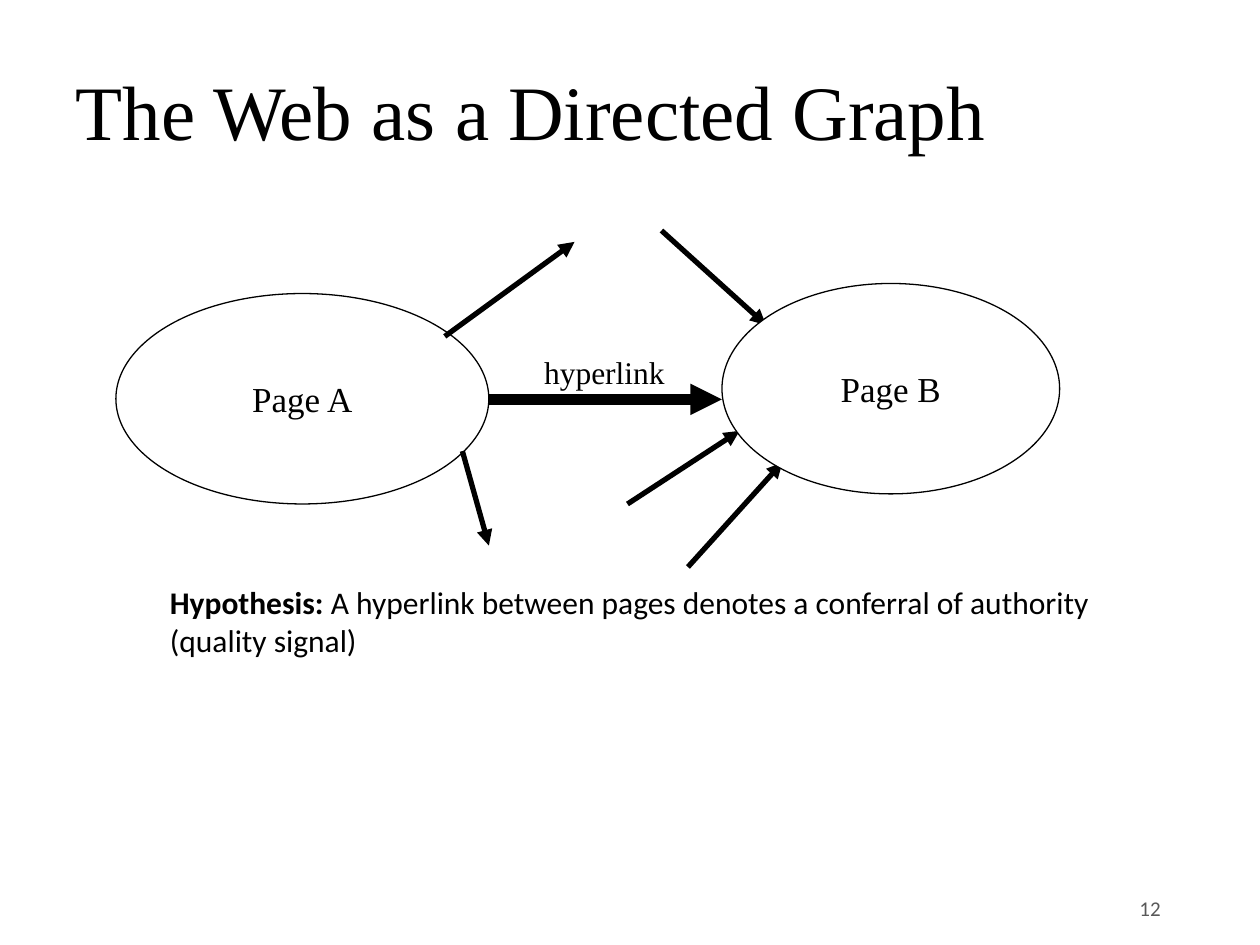
from lxml import etree
from pptx import Presentation
from pptx.dml.color import RGBColor
from pptx.enum import shapes, text
from pptx.oxml.ns import qn
from pptx.util import Inches, Pt

# Content: boxes are left, top, width, height; links are from, to (inches)
TITLE = ("The Web as a Directed Graph", (0.5, 0.3, 9, 1.25))
PAGE_A = ("Page A", (0.92, 2.33, 2.96, 1.67))
PAGE_B = ("Page B", (5.73, 2.25, 2.68, 1.67))
LINK_LABEL = ("hyperlink", (4.22, 2.75, 1.16, 0.4))
MAIN_LINK = ((3.81, 3.17), (5.73, 3.17))
OTHER_LINKS = [
    ((3.67, 3.58), (3.88, 4.33)),
    ((3.53, 2.67), (4.56, 1.92)),
    ((4.98, 4), (5.87, 3.42)),
    ((5.46, 4.5), (6.21, 3.67)),
    ((5.25, 1.83), (6.08, 2.58)),
]
HYPOTHESIS = (
    [("Hypothesis:", True),
     (" A hyperlink between pages denotes a conferral of authority (quality signal)", False)],
    (1.25, 4.58, 8.08, 0.71),
)
PAGE_NUMBER = ("12", (8.06, 7.01, 1.25, 0.4))

SERIF, SANS = "Times New Roman", "Calibri"
INK, PAPER, GREY = (RGBColor.from_string(c) for c in ("000000", "FFFFFF", "595959"))
THEME = {
    "title": {"name": SERIF, "size": Pt(44), "color": INK},
    "node": {"name": SERIF, "size": Pt(20), "color": INK},
    "label": {"name": SERIF, "size": Pt(18), "color": INK},
    "body": {"name": SANS, "size": Pt(18), "color": INK},
    "number": {"name": SANS, "size": Pt(12), "color": GREY},
}
MAIN_WIDTH, LINK_WIDTH, OUTLINE_WIDTH = 6, 3, 0.75


def inches(values):
    return [Inches(value) for value in values]


def write(shape, spans, style, align=text.PP_ALIGN.LEFT, **frame_format):
    frame = shape.text_frame
    for name, value in frame_format.items():
        setattr(frame, name, value)
    para = frame.paragraphs[0]
    para.alignment = align
    for words, bold in spans:
        span = para.add_run()
        span.text = words
        span.font.bold = bold
        for name, value in THEME[style].items():
            if name == "color":
                span.font.color.rgb = value
            else:
                setattr(span.font, name, value)
    return para


def add_node(parent, node):
    words, place = node
    oval = parent.add_shape(shapes.MSO_SHAPE.OVAL, *inches(place))
    oval.shadow.inherit = False
    oval.fill.solid()
    oval.fill.fore_color.rgb = PAPER
    oval.line.color.rgb = INK
    oval.line.width = Pt(OUTLINE_WIDTH)
    write(oval, [(words, False)], "node", text.PP_ALIGN.CENTER,
          word_wrap=False, vertical_anchor=text.MSO_ANCHOR.MIDDLE)


def add_link(parent, link, width):
    start, end = link
    arrow = parent.add_connector(shapes.MSO_CONNECTOR.STRAIGHT, *inches(start + end))
    arrow.line.color.rgb = INK
    arrow.line.width = Pt(width)
    etree.SubElement(arrow.line._get_or_add_ln(), qn("a:tailEnd"), type="triangle")
    etree.SubElement(arrow._element.spPr, qn("a:effectLst"))


def main():
    deck = Presentation()
    deck.slide_width, deck.slide_height = inches((10, 7.5))
    page = deck.slides.add_slide(deck.slide_layouts[5])

    # Title
    words, place = TITLE
    title = page.shapes.title
    title.left, title.top, title.width, title.height = inches(place)
    para = write(title, [(words, False)], "title",
                 vertical_anchor=text.MSO_ANCHOR.MIDDLE, auto_size=text.MSO_AUTO_SIZE.NONE,
                 margin_top=Inches(0.03), margin_bottom=Inches(0.05))
    para.line_spacing = 0.9

    # Page number
    words, place = PAGE_NUMBER
    box = page.shapes.add_textbox(*inches(place))
    write(box, [(words, False)], "number", text.PP_ALIGN.RIGHT,
          word_wrap=True, vertical_anchor=text.MSO_ANCHOR.MIDDLE)

    # Hypothesis
    spans, place = HYPOTHESIS
    box = page.shapes.add_textbox(*inches(place))
    write(box, spans, "body", word_wrap=True,
          auto_size=text.MSO_AUTO_SIZE.SHAPE_TO_FIT_TEXT)

    # Graph, back to front: page B covers the tips of its incoming links
    graph = page.shapes.add_group_shape().shapes
    add_link(graph, MAIN_LINK, MAIN_WIDTH)
    add_node(graph, PAGE_A)
    words, place = LINK_LABEL
    box = graph.add_textbox(*inches(place))
    write(box, [(words, False)], "label", word_wrap=False,
          auto_size=text.MSO_AUTO_SIZE.SHAPE_TO_FIT_TEXT)
    for link in OTHER_LINKS:
        add_link(graph, link, LINK_WIDTH)
    add_node(graph, PAGE_B)

    deck.save("out.pptx")


if __name__ == "__main__":
    main()
